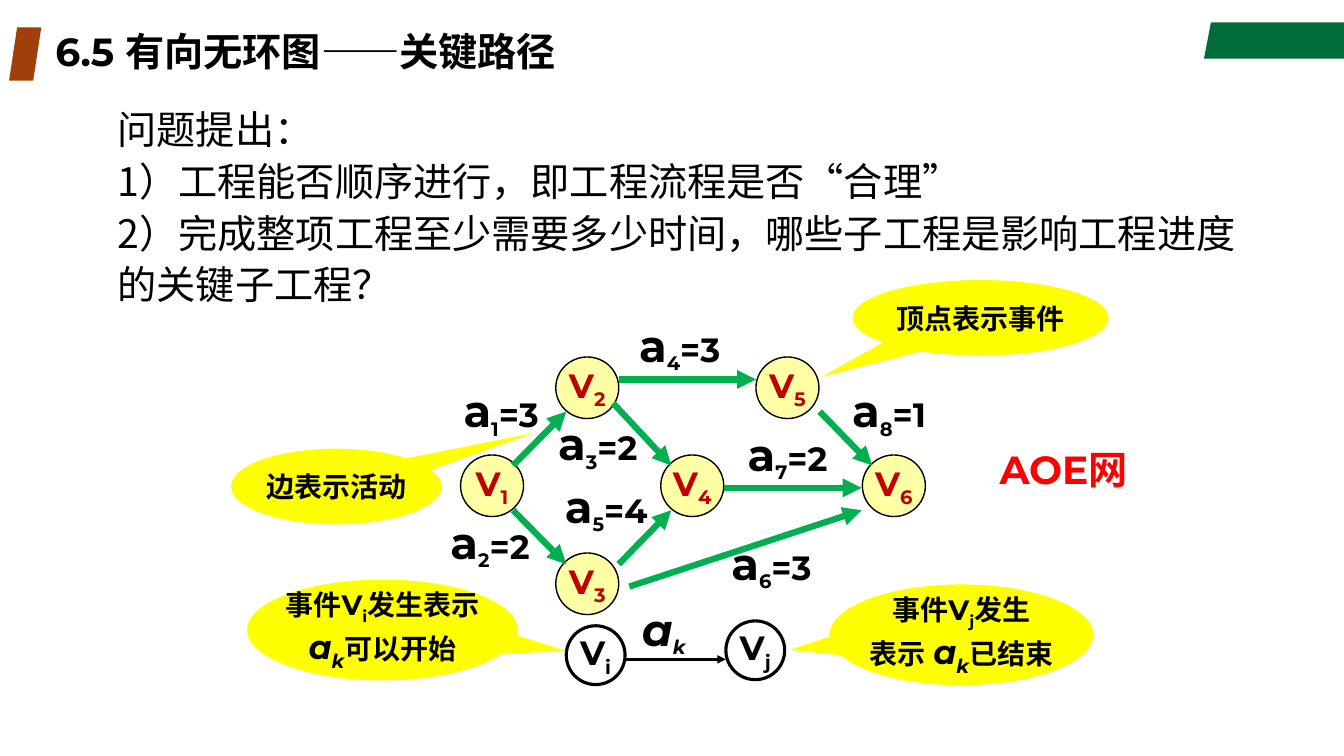
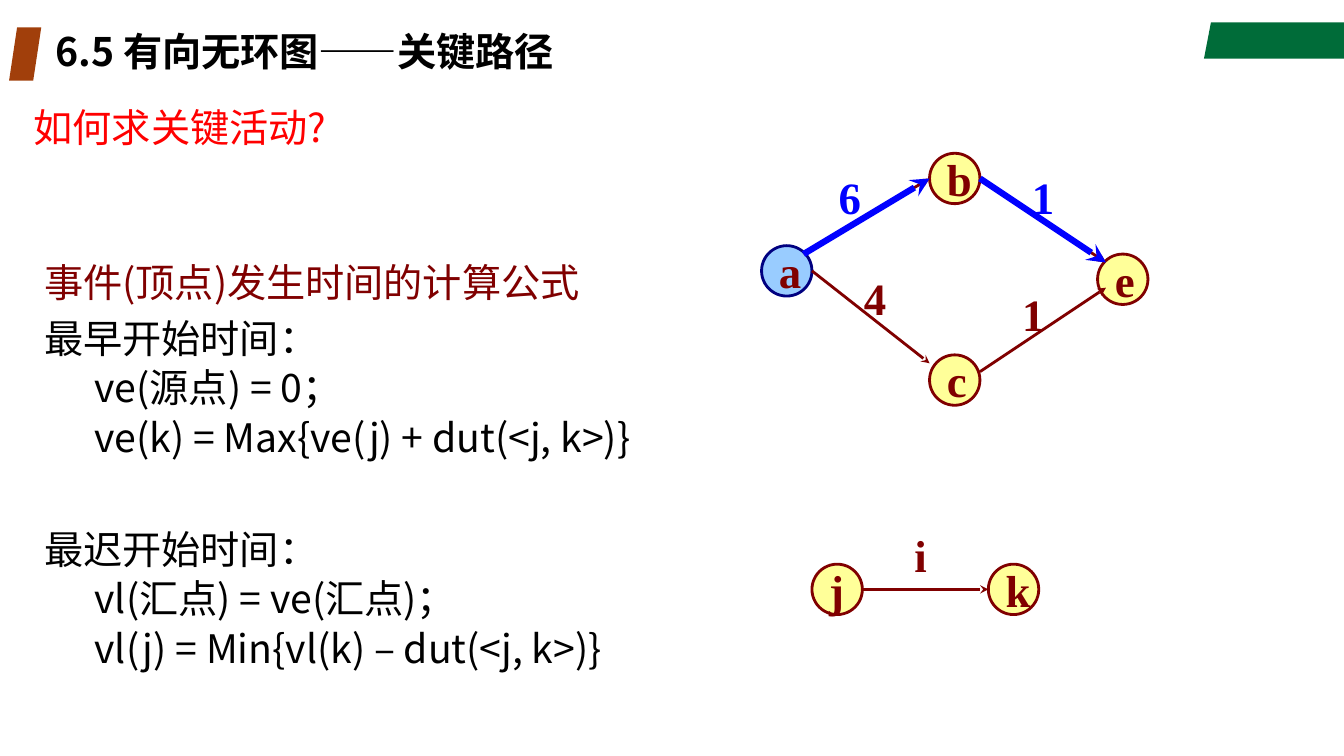
from dataclasses import dataclass

from lxml import etree
from pptx import Presentation
from pptx.dml.color import RGBColor
from pptx.enum.shapes import MSO_CONNECTOR, MSO_SHAPE
from pptx.enum.text import MSO_ANCHOR, PP_ALIGN
from pptx.oxml.ns import qn
from pptx.util import Pt

LEFT, CENTER = PP_ALIGN.LEFT, PP_ALIGN.CENTER
TOP, MIDDLE = MSO_ANCHOR.TOP, MSO_ANCHOR.MIDDLE
OVAL, CALLOUT = MSO_SHAPE.OVAL, MSO_SHAPE.OVAL_CALLOUT
PARALLELOGRAM = MSO_SHAPE.PARALLELOGRAM
STRAIGHT = MSO_CONNECTOR.STRAIGHT


@dataclass(frozen=True)
class Theme:
    """Colours, fonts and type sizes of the deck."""

    black: str = "000000"
    green_band: str = "006C39"
    brown_mark: str = "A13F0B"
    event: str = "FFFFA5"
    event_text: str = "C00000"
    activity: str = "00B050"
    bubble: str = "FFFF00"
    red: str = "FF0000"
    maroon: str = "800000"
    vertex: str = "FFFF99"
    source: str = "99CCFF"
    source_line: str = "000080"
    critical: str = "0000FF"
    display_font: str = "Montserrat"
    chinese_font: str = "Noto Sans CJK SC"
    serif_font: str = "Times New Roman"
    note_size: int = 20
    node_size: int = 24
    body_size: int = 28
    label_size: int = 32


THEME = Theme()
SUBSCRIPT = {"baseline": -25000}
BODY = {"name": THEME.chinese_font, "size": THEME.body_size, "color": THEME.black, "bold": False}
STRONG = {**BODY, "name": THEME.display_font, "bold": True}
NOTE = {**STRONG, "size": THEME.note_size}
NODE = {**STRONG, "size": THEME.node_size}
LABEL = {**STRONG, "size": THEME.label_size}
SERIF = {**LABEL, "name": THEME.serif_font, "color": THEME.maroon}
VARIABLE = {"size": THEME.node_size, "italic": True}


class Deck:
    """Holds the style and the current slide and draws each kind of element."""

    def __init__(self):
        """Start an empty widescreen presentation."""
        self.presentation = Presentation()
        self.presentation.slide_width = Pt(960)
        self.presentation.slide_height = Pt(540)
        self.slide = None

    def new_slide(self, title, font_name):
        """Add a slide with the shared band, mark and title."""
        self.slide = self.presentation.slides.add_slide(self.presentation.slide_layouts[6])
        builder = self.slide.shapes.build_freeform(865, 16.5, scale=Pt(1))
        builder.add_line_segments([(960, 16.5), (960, 42.5), (860, 42.5)])
        self.paint(builder.convert_to_shape(), THEME.green_band)
        self.shape(PARALLELOGRAM, (6.5, 19.5, 23, 38), THEME.brown_mark, adjustments=[0.25])
        self.text_box((32.5, 19.5, 680, 38), [([title], {"line_spacing": 0.9})],
                      {**STRONG, "name": font_name}, vertical_anchor=MIDDLE)

    def paint(self, shape, fill=None, line=None):
        """Set the fill and the outline and remove the shadow."""
        shape.shadow.inherit = False
        if fill:
            shape.fill.solid()
            shape.fill.fore_color.rgb = RGBColor.from_string(fill)
        else:
            shape.fill.background()
        if line:
            color, width = line
            shape.line.color.rgb = RGBColor.from_string(color)
            shape.line.width = Pt(width)
        else:
            shape.line.fill.background()

    def shape(self, kind, box, fill=None, line=None, adjustments=()):
        """Add a preset shape."""
        shape = self.slide.shapes.add_shape(kind, *map(Pt, box))
        for index, value in enumerate(adjustments):
            shape.adjustments[index] = value
        self.paint(shape, fill, line)
        return shape

    def set_text(self, shape, paragraphs, style, **frame_values):
        """Fill a shape with paragraphs of (runs, paragraph format)."""
        frame = shape.text_frame
        for name, value in {"word_wrap": True, "vertical_anchor": TOP, **frame_values}.items():
            setattr(frame, name, value)
        for index, (runs, paragraph_values) in enumerate(paragraphs):
            paragraph = frame.add_paragraph() if index else frame.paragraphs[0]
            values = {"alignment": LEFT, **paragraph_values}
            indent = values.pop("indent", None)
            if indent:
                properties = paragraph._p.get_or_add_pPr()
                properties.set("marL", str(Pt(indent)))
                properties.set("indent", "0")
            for name, value in values.items():
                setattr(paragraph, name, value)
            for item in runs:
                text, changes = (item, {}) if isinstance(item, str) else item
                self.add_run(paragraph, text, {**style, **changes})

    def add_run(self, paragraph, text, style):
        """Add one run with its character format."""
        run = paragraph.add_run()
        run.text = text
        values = dict(style)
        run.font.color.rgb = RGBColor.from_string(values.pop("color"))
        baseline = values.pop("baseline", None)
        values["size"] = Pt(values["size"])
        for name, value in values.items():
            setattr(run.font, name, value)
        properties = run._r.get_or_add_rPr()
        if baseline:
            properties.set("baseline", str(baseline))
        etree.SubElement(properties, qn("a:ea"), typeface=THEME.chinese_font)

    def text_box(self, box, paragraphs, style, **frame_values):
        """Add a text box."""
        shape = self.slide.shapes.add_textbox(*map(Pt, box))
        self.set_text(shape, paragraphs, style, **frame_values)

    def label(self, center, runs, style):
        """Add an unwrapped label centred on a point."""
        x, y = center
        self.text_box((x - 45, y - 23, 90, 46), [(runs, {"alignment": CENTER})], style,
                      word_wrap=False, vertical_anchor=MIDDLE)

    def node(self, box, runs, style, fill, line, alignment=CENTER):
        """Add a round graph node with its name."""
        shape = self.shape(OVAL, box, fill, line)
        self.set_text(shape, [(runs, {"alignment": alignment})], style,
                      word_wrap=False, vertical_anchor=MIDDLE)

    def callout(self, box, tip, lines):
        """Add a yellow speech bubble pointing at its tip."""
        shape = self.shape(CALLOUT, box, THEME.bubble, adjustments=tip)
        self.set_text(shape, [(runs, {"alignment": CENTER}) for runs in lines], NOTE,
                      word_wrap=False, vertical_anchor=MIDDLE)

    def arrow(self, start, end, color, width, head="triangle"):
        """Add a straight arrow."""
        connector = self.slide.shapes.add_connector(STRAIGHT, *map(Pt, (*start, *end)))
        connector.line.color.rgb = RGBColor.from_string(color)
        connector.line.width = Pt(width)
        properties = connector._element.spPr
        etree.SubElement(properties.find(qn("a:ln")), qn("a:tailEnd"), type=head)
        etree.SubElement(properties, qn("a:effectLst"))


def add_network_slide(deck):
    """Build the slide that introduces the AOE network."""
    deck.new_slide("6.5 有向无环图——关键路径", THEME.display_font)
    questions = (
        "问题提出：",
        "1）工程能否顺序进行，即工程流程是否“合理”",
        "2）完成整项工程至少需要多少时间，哪些子工程是影响工程进度的关键子工程？",
    )
    deck.text_box((77, 68.5, 828, 185), [([text], {"line_spacing": 1.1}) for text in questions], BODY)

    events = ((329, 325), (397, 255), (397, 395), (472, 325), (540, 255), (616, 325))
    for number, (left, top) in enumerate(events, 1):
        deck.node((left, top, 45, 44), ["V", (str(number), SUBSCRIPT)],
                  {**NODE, "color": THEME.event_text}, THEME.event, (THEME.black, 1))

    activities = (
        (3, (358, 294), (366.5, 332.5), (404.5, 294)),
        (2, (350, 388), (366.5, 364.5), (404.5, 403)),
        (2, (427, 317.5), (438, 288), (479.5, 332.5)),
        (3, (485.5, 247), (442, 271), (540, 271)),
        (4, (433, 362), (442, 403), (479.5, 364.5)),
        (3, (551, 403), (449.5, 419), (615.5, 364.5)),
        (2, (562.5, 325), (517, 348.5), (615.5, 348.5)),
        (1, (635, 294), (585.5, 294), (623, 332.5)),
    )
    for number, (duration, center, start, end) in enumerate(activities, 1):
        deck.arrow(start, end, THEME.activity, 4.5)
        index = (str(number), {"size": THEME.node_size, **SUBSCRIPT})
        value = (f"={duration}", {"size": THEME.node_size})
        deck.label(center, ["a", index, value], LABEL)

    activity = [("a", VARIABLE), ("k", {**VARIABLE, **SUBSCRIPT})]
    deck.callout((609, 200, 183, 54), (-0.62, 0.78), [["顶点表示事件"]])
    deck.callout((165, 320.5, 150.5, 54), (0.94, -0.71), [["边表示活动"]])
    deck.callout((592.5, 417.5, 188.5, 72), (-0.65, 0.15), [
        ["事件V", ("j", SUBSCRIPT), "发生"],
        ["表示", (" ", {"size": THEME.node_size}), *activity, "已结束"],
    ])
    deck.callout((176.5, 414, 193.5, 72), (0.68, 0.21), [
        ["事件V", ("i", SUBSCRIPT), "发生表示"],
        [*activity, "可以开始"],
    ])

    deck.arrow((446.5, 471), (518.5, 471), THEME.black, 2)
    deck.label((474, 450), ["a", ("k", {"size": THEME.node_size, **SUBSCRIPT})],
               {**LABEL, "italic": True})
    for name, left, top in (("i", 404.5, 447), ("j", 518.5, 443.5)):
        deck.node((left, top, 42, 42), ["V", (name, SUBSCRIPT)], NODE, None, (THEME.black, 2.25))
    deck.text_box((700, 314.5, 119.5, 41), [(["AOE网"], {"alignment": CENTER})],
                  {**STRONG, "color": THEME.red})


def add_formula_slide(deck):
    """Build the slide with the event time formulas."""
    deck.new_slide("6.5 有向无环图——关键路径", THEME.chinese_font)
    deck.text_box((17, 74, 648, 35), [(["如何求关键活动?"], {"line_spacing": 0.9})],
                  {**BODY, "color": THEME.red})
    heading = {"line_spacing": 0.9, "space_before": Pt(10)}
    formula = {"line_spacing": 0.9, "space_before": Pt(5), "indent": 36}
    deck.text_box((24.5, 184.5, 500, 345), [
        ([("事件(顶点)发生时间的计算公式", {"color": THEME.maroon})], {"line_spacing": 0.9}),
        (["最早开始时间："], heading),
        (["ve(源点) = 0；"], formula),
        (["ve(k) = Max{ve(j) + dut(<j, k>)}"], formula),
        (["最迟开始时间："], {**heading, "space_before": Pt(50)}),
        (["vl(汇点) = ve(汇点)；"], formula),
        (["vl(j) = Min{vl(k) – dut(<j, k>)}"], formula),
    ], BODY)

    outline = (THEME.maroon, 2)
    vertices = (
        ("a", 544, 175.5, THEME.source, (THEME.source_line, 2)),
        ("b", 664, 109.5, THEME.vertex, outline),
        ("c", 664, 253.5, THEME.vertex, outline),
        ("e", 784, 181.5, THEME.vertex, outline),
        ("j", 580, 403, THEME.vertex, outline),
        ("k", 706, 403, THEME.vertex, outline),
    )
    for name, left, top, fill, line in vertices:
        deck.node((left, top, 36, 36), [name], SERIF, fill, line, LEFT)

    critical = (((574, 181.5), (664, 127.5)), ((700, 127.5), (790, 187.5)))
    ordinary = (((580, 193.5), (664, 259.5)), ((700, 265.5), (790, 205.5)),
                ((616, 421), (706, 421)))
    for start, end in critical + ordinary:
        deck.arrow(start, end, THEME.maroon, 2, "stealth")
    weights = (
        ("6", 592, 118, THEME.critical), ("1", 730, 118, THEME.critical),
        ("4", 610, 190, THEME.maroon), ("1", 723, 201, THEME.maroon),
        ("i", 646, 373.5, THEME.maroon),
    )
    for text, left, top, color in weights:
        deck.text_box((left, top, 30, 45), [([text], {})], {**SERIF, "color": color}, word_wrap=False)
    for start, end in critical:
        deck.arrow(start, end, THEME.critical, 4.5, "stealth")


def main():
    """Build and save the presentation."""
    deck = Deck()
    add_network_slide(deck)
    add_formula_slide(deck)
    deck.presentation.save("out.pptx")


if __name__ == "__main__":
    main()
